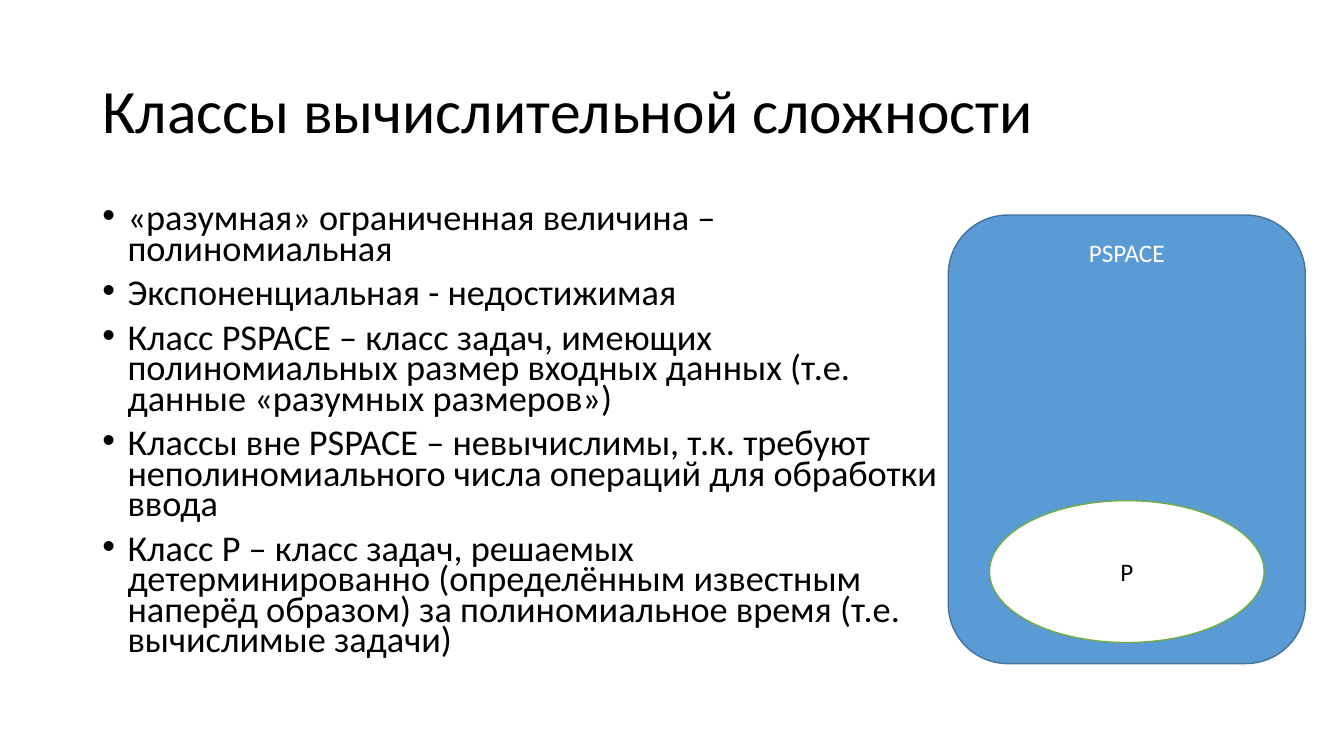
"""Builds a slide on computational complexity classes with a PSPACE and P diagram."""
from dataclasses import dataclass

from lxml import etree
from pptx import Presentation
from pptx import util as u
from pptx.dml.color import RGBColor
from pptx.enum import shapes, text
from pptx.oxml.ns import qn


@dataclass(frozen=True)
class Theme:
    font: str = "Calibri"
    ink: str = "000000"
    paper: str = "FFFFFF"
    outer_fill: str = "5B9BD5"
    outer_line: str = "43739E"
    inner_line: str = "70AD47"
    title_size: float = 44
    body_size: float = 25.9
    label_size: float = 18
    line_width: float = 1
    bullet_indent: float = 0.25


class SlideBuilder:
    COLUMNS, ROWS = 160, 90

    def __init__(self, presentation, theme):
        self.theme = theme
        self.column = presentation.slide_width / self.COLUMNS
        self.row = presentation.slide_height / self.ROWS
        self.slide = presentation.slides.add_slide(presentation.slide_layouts[6])
        background = self.slide.background.fill
        background.solid()
        background.fore_color.rgb = RGBColor.from_string(theme.paper)

    def place(self, left, top, width, height):
        return (round(left * self.column), round(top * self.row),
                round(width * self.column), round(height * self.row))

    def add_words(self, paragraph, words, size, color):
        run = paragraph.add_run()
        run.text = words
        run.font.name = self.theme.font
        run.font.size = u.Pt(size)
        run.font.color.rgb = RGBColor.from_string(color)

    def text_frame(self, box, anchor):
        frame = self.slide.shapes.add_textbox(*self.place(*box)).text_frame
        frame.word_wrap = True
        frame.vertical_anchor = anchor
        return frame

    def title(self, words, box):
        paragraph = self.text_frame(box, text.MSO_ANCHOR.MIDDLE).paragraphs[0]
        paragraph.line_spacing = 0.9
        self.add_words(paragraph, words, self.theme.title_size, self.theme.ink)

    def bullets(self, items, box):
        frame = self.text_frame(box, text.MSO_ANCHOR.TOP)
        indent = u.Inches(self.theme.bullet_indent)
        for index, words in enumerate(items):
            paragraph = frame.add_paragraph() if index else frame.paragraphs[0]
            paragraph.line_spacing = 0.7
            paragraph.space_before = u.Pt(10)
            properties = paragraph._p.get_or_add_pPr()
            properties.set("marL", str(indent))
            properties.set("indent", str(-indent))
            etree.SubElement(properties, qn("a:buFont"), typeface="Arial")
            etree.SubElement(properties, qn("a:buChar"), char="•")
            self.add_words(paragraph, words, self.theme.body_size, self.theme.ink)

    def region(self, kind, words, box, fill, line, color, anchor):
        shape = self.slide.shapes.add_shape(kind, *self.place(*box))
        shape.shadow.inherit = False
        shape.fill.solid()
        shape.fill.fore_color.rgb = RGBColor.from_string(fill)
        shape.line.color.rgb = RGBColor.from_string(line)
        shape.line.width = u.Pt(self.theme.line_width)
        shape.text_frame.vertical_anchor = anchor
        paragraph = shape.text_frame.paragraphs[0]
        paragraph.alignment = text.PP_ALIGN.CENTER
        self.add_words(paragraph, words, self.theme.label_size, color)


def main():
    presentation = Presentation()
    presentation.slide_width = u.Inches(13.33)
    presentation.slide_height = u.Inches(7.5)
    theme = Theme()
    builder = SlideBuilder(presentation, theme)
    builder.title("Классы вычислительной сложности", (11, 4.8, 138, 17.4))
    builder.bullets([
        "«разумная» ограниченная величина – полиномиальная",
        "Экспоненциальная - недостижимая",
        "Класс PSPACE – класс задач, имеющих полиномиальных размер входных данных "
        "(т.е. данные «разумных размеров»)",
        "Классы вне PSPACE – невычислимы, т.к. требуют неполиномиального числа "
        "операций для обработки ввода",
        "Класс P – класс задач, решаемых детерминированно (определённым известным "
        "наперёд образом) за полиномиальное время (т.е. вычислимые задачи)",
    ], (11, 24, 101.9, 57.1))
    builder.region(shapes.MSO_SHAPE.ROUNDED_RECTANGLE, "PSPACE", (112.9, 25.6, 42.5, 53.4),
                   theme.outer_fill, theme.outer_line, theme.paper, text.MSO_ANCHOR.TOP)
    builder.region(shapes.MSO_SHAPE.OVAL, "P", (117.8, 59.6, 32.7, 16.9),
                   theme.paper, theme.inner_line, theme.ink, text.MSO_ANCHOR.MIDDLE)
    presentation.save("out.pptx")


if __name__ == "__main__":
    main()
